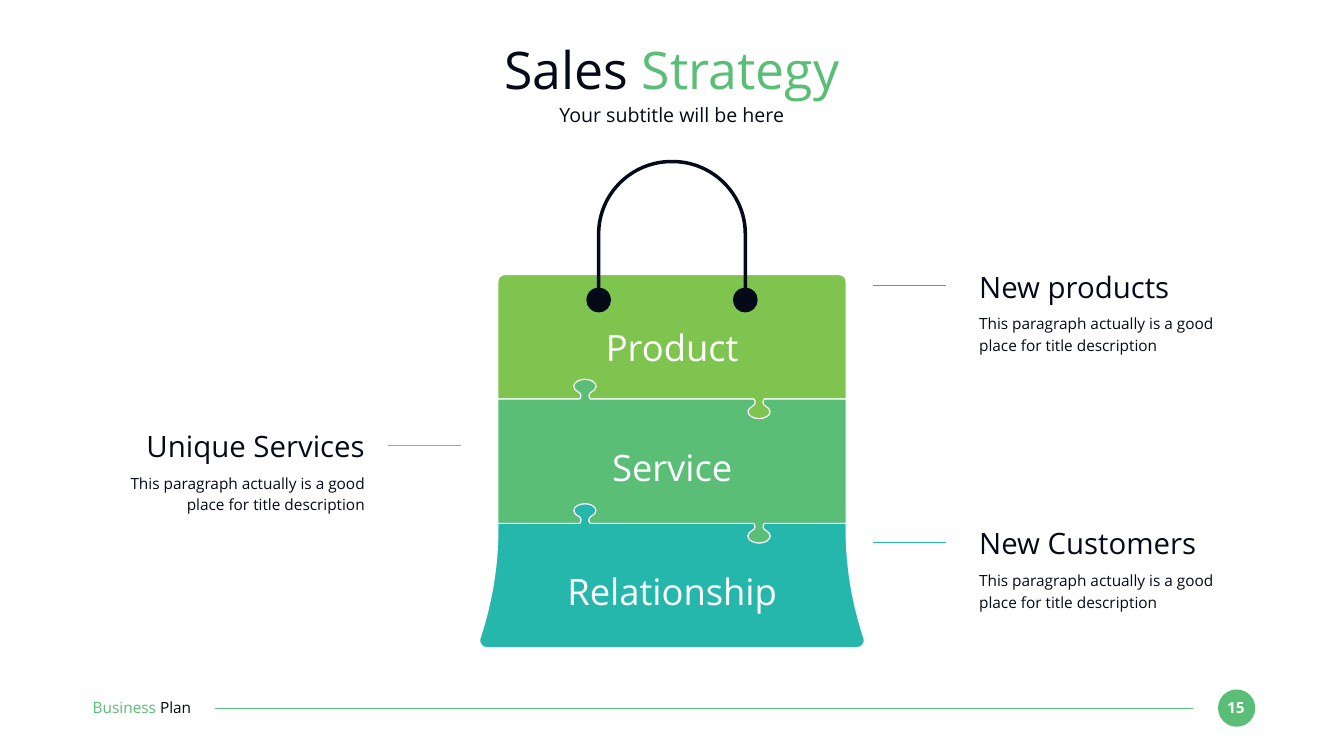
from pptx import Presentation
from pptx.dml.color import RGBColor
from pptx.enum.shapes import MSO_CONNECTOR, MSO_SHAPE
from pptx.enum.text import MSO_ANCHOR, MSO_AUTO_SIZE, PP_ALIGN
from pptx.oxml.ns import qn
from pptx.util import Inches, Pt
from lxml import etree

STRAIGHT = MSO_CONNECTOR.STRAIGHT
OVAL = MSO_SHAPE.OVAL
TOP, MIDDLE = MSO_ANCHOR.TOP, MSO_ANCHOR.MIDDLE
SHRINK = MSO_AUTO_SIZE.TEXT_TO_FIT_SHAPE
LEFT, CENTER, RIGHT = PP_ALIGN.LEFT, PP_ALIGN.CENTER, PP_ALIGN.RIGHT

FONT = "Open Sans"
DARK, WHITE = "050A19", "FFFFFF"
LIME, GREEN, TEAL = "7FC44F", "5ABE76", "25B7AC"
BODY = "This paragraph actually is a good place for title description"


def color(value):
    return RGBColor.from_string(value)


def add_text(slide, box, parts, size, align=CENTER, anchor=MIDDLE, bold=False):
    shape = slide.shapes.add_textbox(*[Inches(v) for v in box])
    frame = shape.text_frame
    frame.word_wrap = True
    frame.vertical_anchor = anchor
    frame.margin_left = frame.margin_right = 0
    frame.margin_top = frame.margin_bottom = 0
    para = frame.paragraphs[0]
    para.alignment = align
    for words, tint in parts:
        run = para.add_run()
        run.text = words
        run.font.name = FONT
        run.font.size = Pt(size)
        run.font.bold = bold
        run.font.color.rgb = color(tint)
    return frame


def add_line(slide, start, end, y, tint):
    line = slide.shapes.add_connector(
        STRAIGHT, Inches(start), Inches(y), Inches(end), Inches(y))
    line.line.color.rgb = color(tint)
    line.line.width = Pt(1.5)
    etree.SubElement(line._element.spPr, qn("a:effectLst"))


def paint(shape, fill, edge=None):
    shape.shadow.inherit = False
    shape.fill.solid()
    shape.fill.fore_color.rgb = color(fill)
    if edge:
        shape.line.color.rgb = color(edge)
        shape.line.width = Pt(1.5)
    else:
        shape.line.fill.background()


def join(first, *others):
    result = list(first)
    for part in others:
        result += [result[-1], part[0]] + part
    return result


def mirror(points):
    return [(-x, y) for x, y in reversed(points)]


def shift(points, x, y, flip=1):
    return [(x + px, y + flip * py) for px, py in points]


def add_free(slide, points, fill, edge=None):
    spots = [(Inches(x), Inches(y)) for x, y in points]
    maker = slide.shapes.build_freeform(*spots[0])
    maker.add_line_segments(spots[1:], close=True)
    shape = maker.convert_to_shape()
    route = next(shape._element.iter(qn("a:path")))
    legs = route.findall(qn("a:lnTo"))
    for i in range(0, len(legs), 3):
        legs[i].tag = qn("a:cubicBezTo")
        for leg in legs[i + 1:i + 3]:
            legs[i].append(leg[0])
            route.remove(leg)
    paint(shape, fill, edge)


def seam(half, y):
    bend = [
        (-0.11, 0), (-0.09, 0), (-0.08, -0.03), (-0.08, -0.07),
        (-0.08, -0.1), (-0.1, -0.13), (-0.13, -0.14),
        (-0.18, -0.16), (-0.22, -0.21), (-0.22, -0.25),
        (-0.22, -0.33), (-0.12, -0.39), (0, -0.39)]
    knob = bend + mirror(bend)[1:]
    return join([(-half, y)], shift(knob, -half / 2, y),
                shift(knob, half / 2, y, -1), [(half, y)])


def handle():
    side = join(
        [(0.01, 0), (0.82, 0), (1.49, 0.66), (1.49, 1.47)],
        [(1.49, 2.54), (1.61, 2.55), (1.7, 2.66), (1.7, 2.78),
         (1.7, 2.92), (1.59, 3.03), (1.45, 3.03),
         (1.32, 3.03), (1.21, 2.92), (1.21, 2.78),
         (1.21, 2.66), (1.3, 2.55), (1.42, 2.54)],
        [(1.42, 1.47), (1.42, 0.7), (0.79, 0.07), (0.01, 0.07)])
    return join(side, mirror(side))


def add_bag(slide, box):
    left, top, width, height = box
    mid = left + width / 2
    half, body = 3.455, 2.28
    step = (height - body) / 3
    base = height - step
    upper = seam(half, body + step)
    lower = seam(half, base)
    crown = [(half, body + 0.14), (half, body + 0.06),
             (half - 0.06, body), (half - 0.14, body)]
    foot = [
        (half, base + 0.13), (half, base + 0.86),
        (3.58, base + 1.59), (3.81, base + 2.28),
        (3.84, base + 2.37), (3.77, height), (3.67, height)]
    pieces = [
        (join(lower, foot, mirror(foot)), TEAL, WHITE),
        (join(upper, crown, mirror(crown)), LIME, WHITE),
        (join(upper, lower[::-1]), GREEN, WHITE),
        (handle(), DARK, None)]
    for points, fill, edge in pieces:
        add_free(slide, shift(points, mid, top), fill, edge)
    for name, y in (("Product", 3.28), ("Service", 5.66), ("Relationship", 8.11)):
        add_text(slide, (mid - 2.63, top + y, 5.27, 0.88), [(name, WHITE)], 52)


def add_note(slide, box, title, tint, align=LEFT):
    left, top, width, height = box
    add_text(slide, (left, top, width, 0.71), [(title, DARK)], 42, align)
    frame = add_text(slide, (left, top + 0.85, width, height - 0.85),
                     [(BODY, DARK)], 22, align, TOP)
    frame.paragraphs[0].line_spacing = 1.3
    frame.auto_size = SHRINK
    start = left + width + 1.9 if align == RIGHT else left - 0.66
    add_line(slide, start, start - 1.44, top + 0.34, tint)


def add_head(slide, box):
    left, top, width, height = box
    add_text(slide, (left, top, width, 1.27),
             [("Sales ", DARK), ("Strategy", GREEN)], 74)
    add_text(slide, (left, top + 1.3, width, height - 1.3),
             [("Your subtitle will be here", DARK)], 28)


def add_foot(slide, box):
    left, top, width, height = box
    edge = left + width
    disc = slide.shapes.add_shape(
        OVAL, Inches(edge - height), Inches(top), Inches(height), Inches(height))
    paint(disc, GREEN)
    add_text(slide, (edge - 0.68, top + 0.17, 0.59, 0.37),
             [("15", WHITE)], 22, bold=True)
    add_line(slide, edge - 1.24, left + 2.43, top + height / 2, GREEN)
    add_text(slide, (left, top + 0.16, 2.59, 0.37),
             [("Business ", GREEN), ("Plan", DARK)], 22, LEFT)


def main():
    deck = Presentation()
    deck.slide_width, deck.slide_height = Inches(26.67), Inches(15)
    slide = deck.slides.add_slide(deck.slide_layouts[6])
    add_foot(slide, (1.84, 13.68, 23.07, 0.74))
    add_head(slide, (1.83, 0.73, 23, 1.79))
    add_bag(slide, (9.5, 3.17, 7.67, 9.68))
    add_note(slide, (1.83, 8.49, 5.41, 1.77), "Unique Services", LIME, RIGHT)
    add_note(slide, (19.43, 10.42, 5.41, 1.77), "New Customers", TEAL)
    add_note(slide, (19.43, 5.33, 5.41, 1.77), "New products", TEAL)
    deck.save("out.pptx")


if __name__ == "__main__":
    main()
